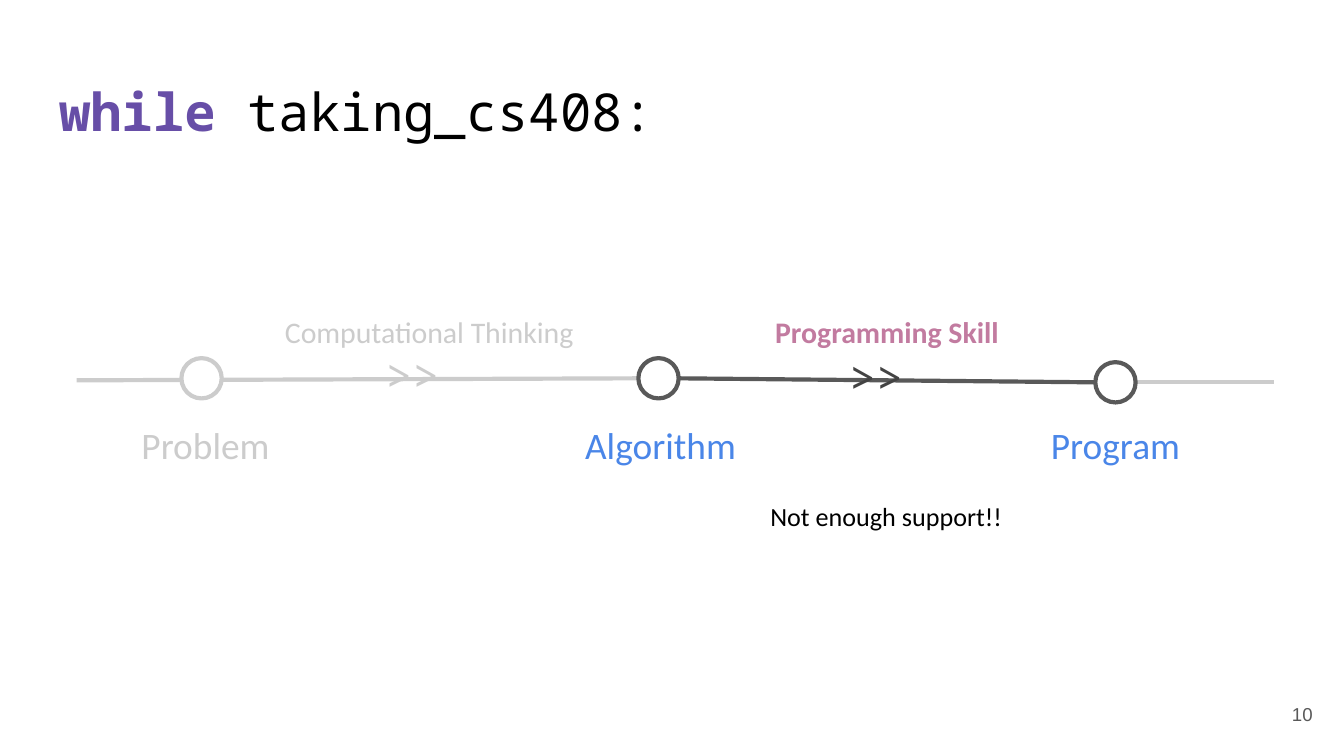
"""Build the slide that places programming skill between algorithm and program."""
import pptx
import pptx.dml.color
import pptx.enum.shapes
import pptx.enum.text
import pptx.oxml.ns
import pptx.util
import lxml.etree

COLORS = {
    "keyword": "674EA7", "ink": "000000", "faded": "CCCCCC", "active": "595959",
    "stage": "4A86E8", "skill": "C27BA0", "chevron": "434343", "paper": "FFFFFF",
}
ALIGN = pptx.enum.text.PP_ALIGN

deck = pptx.Presentation()
deck.slide_width = pptx.util.Inches(10)
deck.slide_height = deck.slide_width * 9 // 16
column = deck.slide_width / 100
row = deck.slide_height / 56.25
slide = deck.slides.add_slide(deck.slide_layouts[5])


def style(run, size, color, font="Calibri", bold=False):
    run.font.size = pptx.util.Pt(size)
    run.font.name = font
    run.font.bold = bold
    run.font.color.rgb = pptx.dml.color.RGBColor.from_string(COLORS[color])


def add_label(text, left, top, width, height, size, color, font="Calibri",
              bold=False, align=ALIGN.CENTER, spacing=1.0, wrap=True):
    box = slide.shapes.add_textbox(int(left * column), int(top * row),
                                   int(width * column), int(height * row))
    frame = box.text_frame
    frame.text = text
    frame.word_wrap = wrap
    frame.margin_left = frame.margin_right = int(column)
    frame.margin_top = frame.margin_bottom = int(row)
    frame.paragraphs[0].alignment = align
    frame.paragraphs[0].line_spacing = spacing
    style(frame.paragraphs[0].runs[0], size, color, font, bold)
    return frame


title = slide.shapes.title
title.left, title.top = int(3.4 * column), int(4.9 * row)
title.width, title.height = int(93.2 * column), int(6.3 * row)
heading = title.text_frame
heading.auto_size = pptx.enum.text.MSO_AUTO_SIZE.NONE
heading.vertical_anchor = pptx.enum.text.MSO_ANCHOR.TOP
heading.margin_left = heading.margin_right = int(column)
heading.margin_top = heading.margin_bottom = int(row)
statement = heading.paragraphs[0]
statement.alignment = ALIGN.LEFT
for code, color, bold in [("while ", "keyword", True), ("taking_cs408:", "ink", False)]:
    token = statement.add_run()
    token.text = code
    style(token, 28, color, "Noto Sans Mono", bold)

for stage, left, width, color in [("Problem", 6.8, 17, "faded"),
                                  ("Algorithm", 37.9, 22.5, "stage"),
                                  ("Program", 71.75, 22.5, "stage")]:
    add_label(stage, left, 29.9, width, 6.3, 20, color, spacing=1.15)

for step, left, width, color, bold in [("Computational Thinking", 16.45, 31, "faded", False),
                                       ("Programming Skill", 54.75, 22.5, "skill", True)]:
    add_label(step, left, 21.95, width, 4.3, 16, color, bold=bold, spacing=1.15)

for start, start_height, end, end_height, color in [(5.7, 28.3, 47.5, 28.15, "faded"),
                                                    (50.5, 28.15, 81.5, 28.45, "active"),
                                                    (84.5, 28.45, 94.8, 28.45, "faded")]:
    track = slide.shapes.add_connector(
        pptx.enum.shapes.MSO_CONNECTOR.STRAIGHT,
        int(start * column), int(start_height * row),
        int(end * column), int(end_height * row))
    track.line.width = pptx.util.Pt(2.25)
    track.line.color.rgb = pptx.dml.color.RGBColor.from_string(COLORS[color])
    lxml.etree.SubElement(track._element.spPr, pptx.oxml.ns.qn("a:effectLst"))

for index, (top, color) in enumerate([(26.65, "faded"), (26.65, "active"), (26.95, "active")]):
    stop = slide.shapes.add_shape(
        pptx.enum.shapes.MSO_SHAPE.OVAL,
        int((13.5 + 34 * index) * column), int(top * row), int(3 * column), int(3 * row))
    stop.shadow.inherit = False
    stop.fill.solid()
    stop.fill.fore_color.rgb = pptx.dml.color.RGBColor.from_string(COLORS["paper"])
    stop.line.width = pptx.util.Pt(2.25)
    stop.line.color.rgb = pptx.dml.color.RGBColor.from_string(COLORS[color])

for left, top, height, color in [(27.7, 24.9, 4.8, "faded"), (62.2, 25, 4.3, "chevron")]:
    add_label(">>", left, top, 6, height, 24, color, "Noto Sans Mono", wrap=False)

add_label("Not enough support!!", 56, 36.2, 19.9, 6.3, 14, "ink")
page_number = add_label("10", 92.65, 51, 6, 4.3, 10, "active", "Arial", align=ALIGN.RIGHT)
page_number.vertical_anchor = pptx.enum.text.MSO_ANCHOR.MIDDLE

deck.save("out.pptx")
